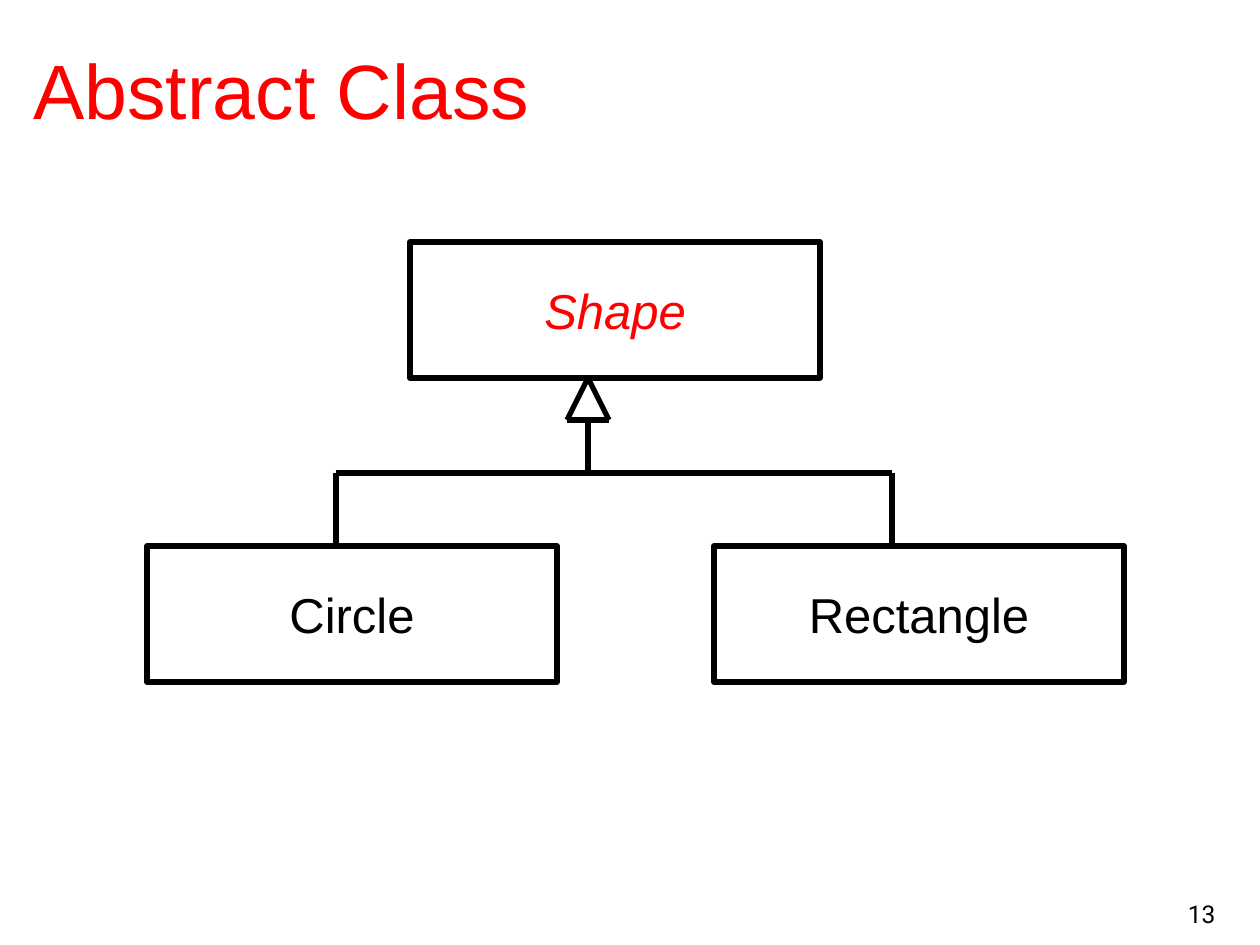
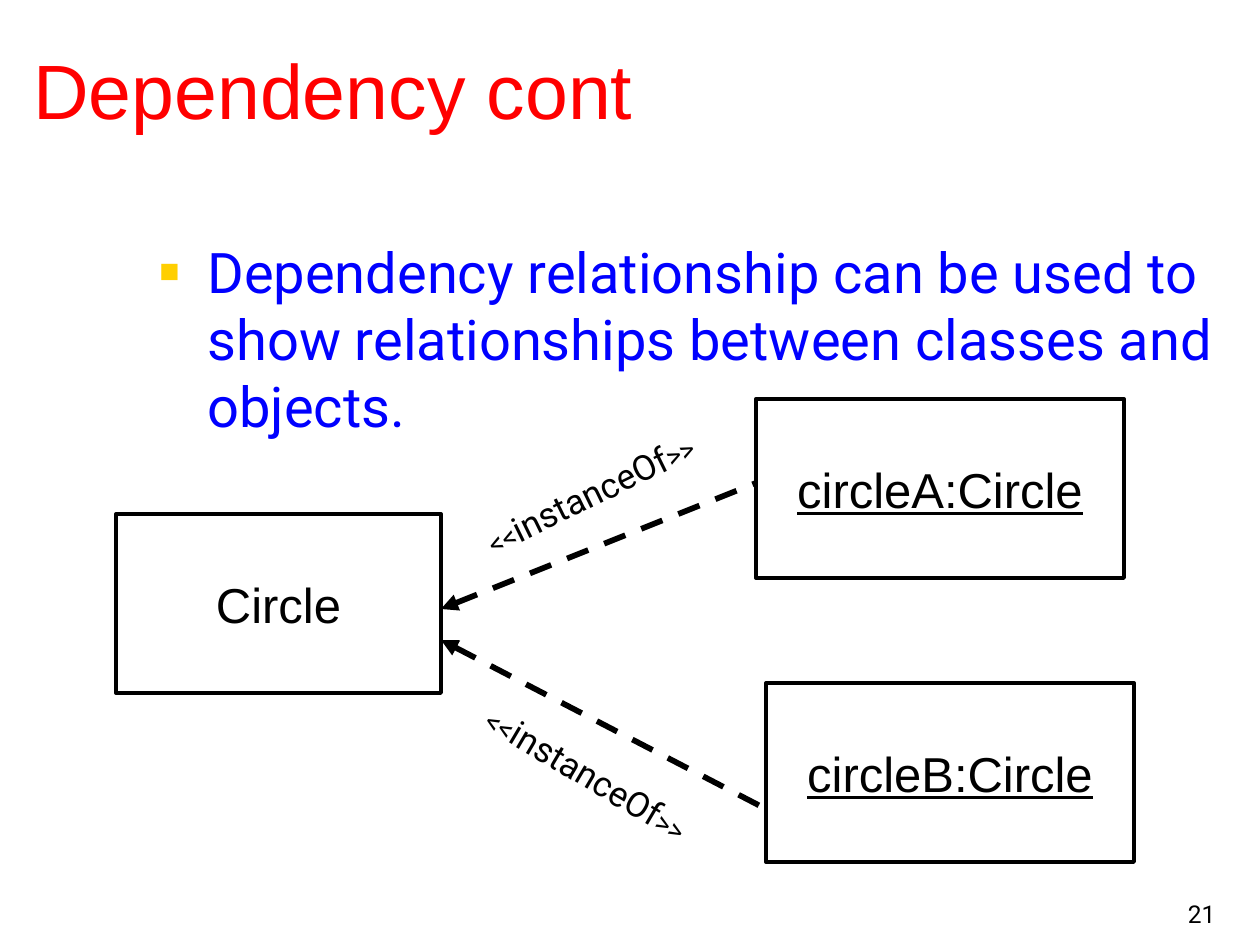
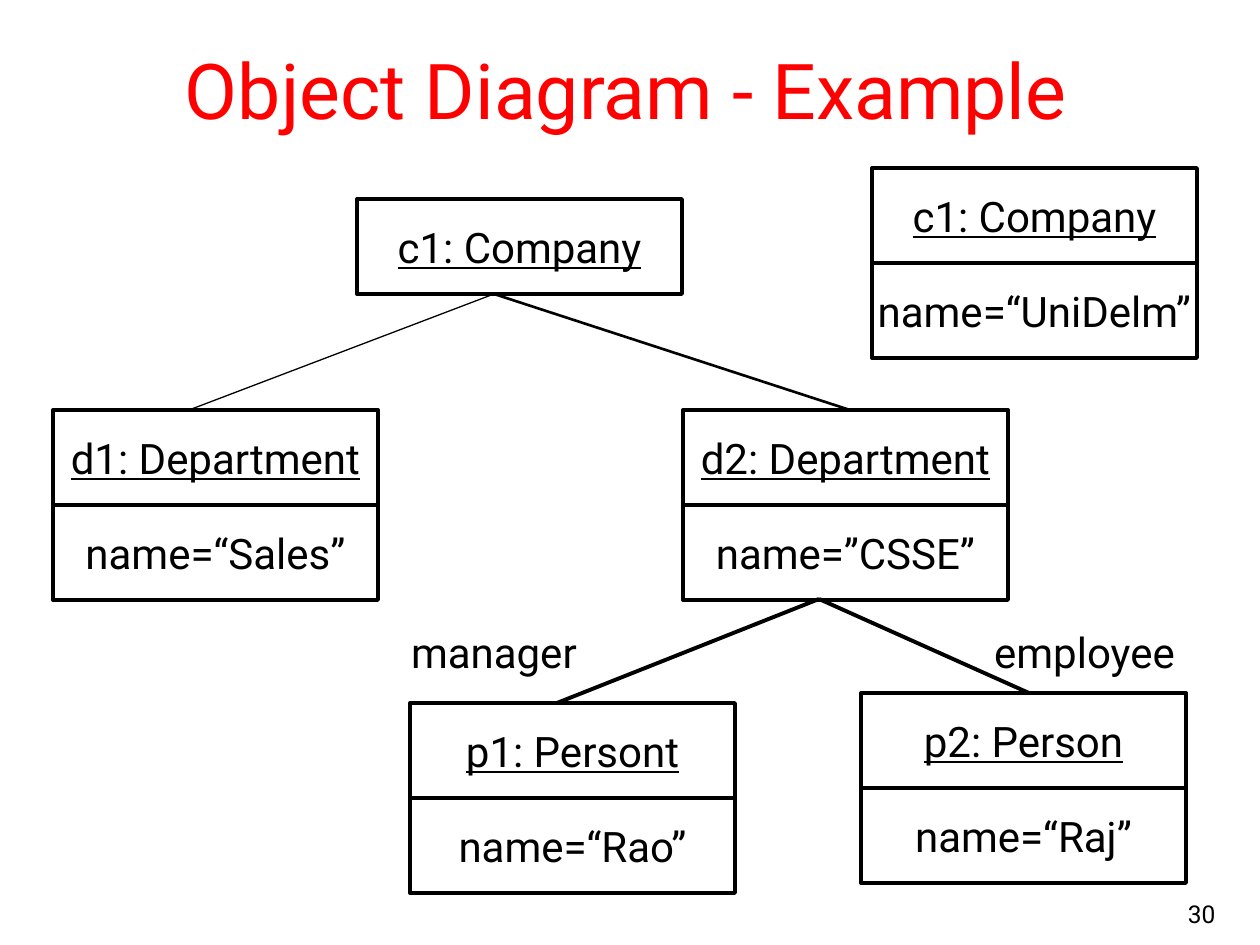
from lxml.etree import SubElement
from pptx import Presentation
from pptx.dml.color import RGBColor
from pptx.enum.dml import MSO_LINE
from pptx.enum.shapes import MSO_CONNECTOR, MSO_SHAPE
from pptx.enum.text import MSO_ANCHOR, PP_ALIGN
from pptx.oxml.ns import qn
from pptx.util import Emu, Pt

PX = 914400 / 126
BLACK, WHITE, RED, BLUE, GOLD = "000000", "FFFFFF", "FF0000", "0000FF", "FFCF01"

TITLE_AREA = (21, 21, 1211, 136)
NUMBER_AREA = (966, 872, 262, 63)
TITLE = dict(size=44, name="Arial", color=RED)
NUMBER = dict(size=14, name="Roboto")
BODY = dict(size=32, name="Roboto", color=BLUE)
CLASS = dict(size=28, name="Arial")
ABSTRACT = dict(CLASS, color=RED, italic=True)
INSTANCE = dict(CLASS, underline=True)
FIELD = dict(size=24, name="Roboto")
OBJECT = dict(FIELD, underline=True)
BRACKET = dict(size=16, name="Roboto")
STEREOTYPE = dict(size=20, name="Roboto")

# Abstract class: text, left, top, format
CLASS_SIZE = (410, 136)
CLASSES = [
    ("Shape", 410, 242, ABSTRACT),
    ("Circle", 147, 546, CLASS),
    ("Rectangle", 714, 546, CLASS),
]
INHERITANCE_PATHS = [
    [(336, 546), (336, 473), (892, 473), (892, 546)],
    [(588, 473), (588, 420)],
    [(567, 420), (609, 420), (588, 378), (567, 420)],
]

# Dependency
DEPENDENCY_TEXT = ("Dependency relationship can be used to show relationships "
                   "between classes and objects.")
BODY_AREA = (147, 231, 1113, 614)
DEPENDENCY_BOXES = [
    ("Circle", (116, 514, 325, 179), CLASS),
    ("circleA:Circle", (756, 399, 368, 179), INSTANCE),
    ("circleB:Circle", (766, 683, 368, 179), INSTANCE),
]
DEPENDENCIES = [((441, 609), (756, 483)), ((441, 640), (766, 809))]
STEREOTYPE_SPANS = [("<<", BRACKET), ("instanceOf", STEREOTYPE), (">>", BRACKET)]
STEREOTYPE_AREAS = [((457, 466, 266, 55), -26.1), ((454, 746, 266, 55), 30.7)]

# Object diagram: left, top, object, field
OBJECT_SIZE = (325, 95)
OBJECTS = [
    (357, 199, "c1: Company", None),
    (872, 168, "c1: Company", "name=“UniDelm”"),
    (53, 410, "d1: Department", "name=“Sales”"),
    (683, 410, "d2: Department", "name=”CSSE”"),
    (410, 703, "p1: Persont", "name=“Rao”"),
    (861, 693, "p2: Person", "name=“Raj”"),
]
LINKS = [
    ((189, 410), (494, 294), 0.75),
    ((494, 294), (850, 410), 1.5),
    ((819, 599), (557, 703), 2.25),
    ((819, 599), (1029, 693), 2.25),
]
ROLES = [("manager", (392, 620, 204, 63)), ("employee", (975, 620, 219, 63))]


def px(*lengths):
    return [Emu(round(length * PX)) for length in lengths]


def rgb(color):
    return RGBColor.from_string(color)


def write(shape, spans, align=PP_ALIGN.CENTER, anchor=MSO_ANCHOR.MIDDLE, wrap=False):
    """Fill the shape with one paragraph of (text, format) spans."""
    frame = shape.text_frame
    frame.word_wrap = wrap
    frame.vertical_anchor = anchor
    para = frame.paragraphs[0]
    para.alignment = align
    for text, style in spans:
        span = para.add_run()
        span.text = text
        span.font.color.rgb = rgb(style.get("color", BLACK))
        for key, value in style.items():
            if key != "color":
                setattr(span.font, key, Pt(value) if key == "size" else value)
    return para


def add_text(page, area, spans, rotation=0, **layout):
    box = page.shapes.add_textbox(*px(*area))
    box.rotation = rotation
    return write(box, spans, **layout)


def add_box(page, area, text, style, weight=2.25):
    box = page.shapes.add_shape(MSO_SHAPE.RECTANGLE, *px(*area))
    box.shadow.inherit = False
    box.fill.solid()
    box.fill.fore_color.rgb = rgb(WHITE)
    box.line.color.rgb = rgb(BLACK)
    box.line.width = Pt(weight)
    write(box, [(text, style)])


def add_line(page, start, end, weight):
    line = page.shapes.add_connector(MSO_CONNECTOR.STRAIGHT, *px(*start, *end))
    line.line.color.rgb = rgb(BLACK)
    line.line.width = Pt(weight)
    SubElement(line._element.spPr, qn("a:effectLst"))
    return line


def add_dependency(page, start, end):
    """Dashed line with its arrowhead at the start."""
    line = add_line(page, start, end, 3.25).line
    line.dash_style = MSO_LINE.DASH
    SubElement(line._ln, qn("a:headEnd"), type="triangle")


def add_bullet(para):
    properties = para._p.get_or_add_pPr()
    indent = px(48)[0]
    properties.set("marL", str(indent))
    properties.set("indent", str(-indent))
    color = SubElement(properties, qn("a:buClr"))
    SubElement(color, qn("a:srgbClr"), val=GOLD)
    SubElement(properties, qn("a:buSzPct"), val="60000")
    SubElement(properties, qn("a:buFont"), typeface="Arial")
    SubElement(properties, qn("a:buChar"), char="■")


def add_page(deck, title, number, **title_style):
    page = deck.slides.add_slide(deck.slide_layouts[6])
    align = title_style.pop("align", PP_ALIGN.LEFT)
    add_text(page, TITLE_AREA, [(title, dict(TITLE, **title_style))], align=align, wrap=True)
    add_text(page, NUMBER_AREA, [(number, NUMBER)], align=PP_ALIGN.RIGHT,
             anchor=MSO_ANCHOR.BOTTOM, wrap=True)
    return page


def add_abstract_class(deck):
    page = add_page(deck, "Abstract Class", "13")
    for text, left, top, style in CLASSES:
        add_box(page, (left, top, *CLASS_SIZE), text, style, weight=3)
    for points in INHERITANCE_PATHS:
        for start, end in zip(points, points[1:]):
            add_line(page, start, end, 3)


def add_dependency_page(deck):
    page = add_page(deck, "Dependency cont", "21")
    para = add_text(page, BODY_AREA, [(DEPENDENCY_TEXT, BODY)], align=PP_ALIGN.LEFT,
                    anchor=MSO_ANCHOR.TOP, wrap=True)
    para.space_before = Pt(8)
    add_bullet(para)
    for text, area, style in DEPENDENCY_BOXES:
        add_box(page, area, text, style)
    for start, end in DEPENDENCIES:
        add_dependency(page, start, end)
    for area, rotation in STEREOTYPE_AREAS:
        add_text(page, area, STEREOTYPE_SPANS, rotation, anchor=MSO_ANCHOR.TOP)


def add_object_diagram(deck):
    page = add_page(deck, "Object Diagram - Example", "30",
                    name="Roboto", align=PP_ALIGN.CENTER)
    height = OBJECT_SIZE[1]
    for left, top, name, field in OBJECTS:
        add_box(page, (left, top, *OBJECT_SIZE), name, OBJECT)
        if field:
            add_box(page, (left, top + height, *OBJECT_SIZE), field, FIELD)
    for link in LINKS:
        add_line(page, *link)
    for text, area in ROLES:
        add_text(page, area, [(text, FIELD)], anchor=MSO_ANCHOR.TOP)


def main():
    deck = Presentation()
    deck.slide_width, deck.slide_height = px(1260, 945)
    add_abstract_class(deck)
    add_dependency_page(deck)
    add_object_diagram(deck)
    deck.save("out.pptx")


if __name__ == "__main__":
    main()
